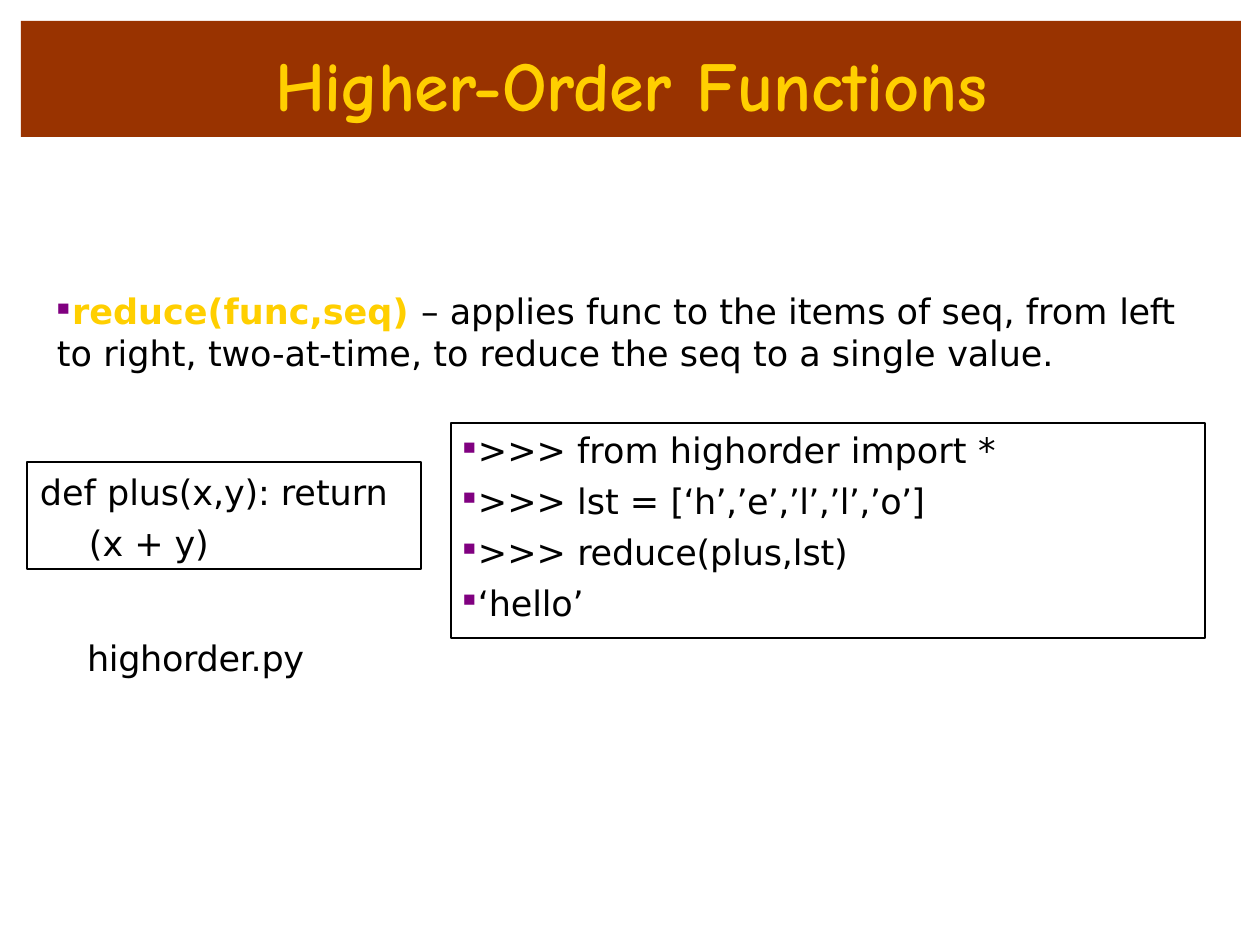
from lxml import etree
from pptx import Presentation
from pptx import util as u
from pptx.dml.color import RGBColor
from pptx.enum import shapes, text
from pptx.oxml.ns import qn

SCALE = 914400 // 126  # EMU in one px
BLACK, GOLD, BROWN, PURPLE = "000000", "FFCF00", "993300", "800080"


def px(length):
    return u.Emu(length * SCALE)


def colour(value):
    return RGBColor.from_string(value)


def set_all(target, formats):
    for name, value in formats.items():
        setattr(target, name, value)


def prepare_frame(box, top_inset):
    frame = box.text_frame
    set_all(frame, dict(word_wrap=True, auto_size=text.MSO_AUTO_SIZE.NONE,
                        vertical_anchor=text.MSO_ANCHOR.TOP,
                        margin_left=0, margin_right=0, margin_bottom=0,
                        margin_top=px(top_inset)))
    return frame


def add_span(para, words, spacing=0, size=20, font="DejaVu Sans",
             fill=BLACK, bold=False):
    """Add a run; spacing is in points between letters."""
    span = para.add_run()
    span.text = words
    set_all(span.font, dict(size=u.Pt(size), name=font, bold=bold))
    span.font.color.rgb = colour(fill)
    span.font._element.set("spc", str(round(spacing * 100)))


def format_para(para, before, left=0, indent=0, bullet=False, tab=None, line=None):
    set_all(para, dict(alignment=text.PP_ALIGN.LEFT, space_before=u.Pt(before)))
    if line:
        para.line_spacing = u.Pt(line)
    props = para._p.get_or_add_pPr()
    props.set("marL", str(px(left)))
    props.set("indent", str(px(indent)))
    if bullet:
        holder = etree.SubElement(props, qn("a:buClr"))
        etree.SubElement(holder, qn("a:srgbClr"), val=PURPLE)
        etree.SubElement(props, qn("a:buSzPct"), val="50000")
        etree.SubElement(props, qn("a:buChar"), char="■")
    if tab:
        tabs = etree.SubElement(props, qn("a:tabLst"))
        etree.SubElement(tabs, qn("a:tab"), pos=str(px(tab)), algn="l")


def add_label(page, place, top_inset=1):
    box = page.shapes.add_textbox(*map(px, place))
    return prepare_frame(box, top_inset)


def add_code_box(page, place, top_inset=0):
    box = page.shapes.add_shape(shapes.MSO_SHAPE.RECTANGLE, *map(px, place))
    box.shadow.inherit = False
    box.fill.background()
    box.line.color.rgb = colour(BLACK)
    box.line.width = u.Pt(0.75)
    return prepare_frame(box, top_inset)


def format_title(page):
    title = page.shapes.title
    set_all(title, dict(zip(("left", "top", "width", "height"),
                            map(px, (21, 21, 1220, 116)))))
    title.fill.solid()
    title.fill.fore_color.rgb = colour(BROWN)
    para = prepare_frame(title, 21).paragraphs[0]
    set_all(para, dict(alignment=text.PP_ALIGN.CENTER, space_before=u.Pt(12.3)))
    for words, spacing in (("Higher-", -0.3), ("Order ", 0), ("Functions", -0.1)):
        add_span(para, words, spacing, size=40, font="Comic Neue", fill=GOLD, bold=True)


def main():
    deck = Presentation()
    deck.slide_width, deck.slide_height = px(1260), px(945)
    page = deck.slides.add_slide(deck.slide_layouts[5])
    format_title(page)

    # Definition of reduce
    para = add_label(page, (56, 289, 1133, 88)).paragraphs[0]
    format_para(para, 1.1, left=1, bullet=True, tab=16)
    add_span(para, "\treduce(func,seq) ", fill=GOLD, bold=True)
    for words, spacing in (("– applies func to the items of seq, from ", 0),
                           ("left ", -0.2), ("to right, ", 0), ("two-", -0.1),
                           ("at-", -0.2), ("time, to reduce the seq to a single ", 0),
                           ("value.", -0.1)):
        add_span(para, words, spacing)

    # Module source: the hanging indent carries the function body
    para = add_code_box(page, (27, 462, 394, 107)).paragraphs[0]
    format_para(para, 0.2, left=62, indent=-49, line=29)
    for words, spacing in (("def ", 0), ("plus(x,y): ", -0.1),
                           ("return (x +", 0), (" y)", -0.2)):
        add_span(para, words, spacing)

    # Interactive session
    frame = add_code_box(page, (451, 423, 754, 215), top_inset=6)
    session = (
        (3.5, (">>> from highorder import ", 0), ("*", -0.5)),
        (5, (">>> lst = ", 0), ("[‘h’,’e’,’l’,’l’,’o’]", -0.4)),
        (5, (">>> ", 0), ("reduce(plus,lst)", -0.1)),
        (4.9, ("‘hello’", -0.1)),
    )
    for number, (before, *spans) in enumerate(session):
        para = frame.add_paragraph() if number else frame.paragraphs[0]
        format_para(para, before, left=27, indent=-15, bullet=True, tab=27)
        for words, spacing in spans:
            add_span(para, words, spacing)

    # Module file name
    para = add_label(page, (86, 635, 223, 45)).paragraphs[0]
    format_para(para, 1, left=1)
    add_span(para, "highorder.py", -0.2)

    deck.save("out.pptx")


if __name__ == "__main__":
    main()
